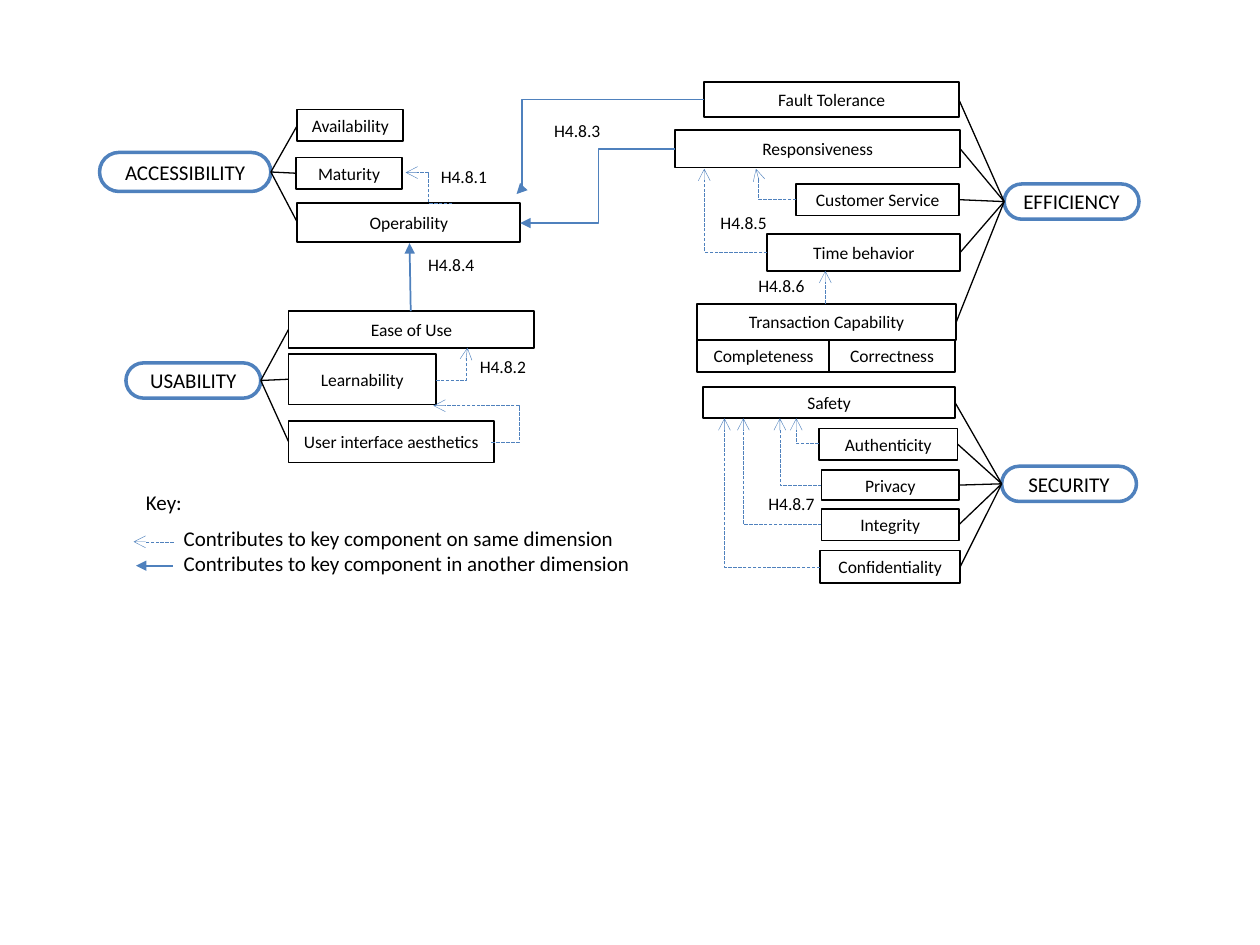
from dataclasses import dataclass

from lxml import etree
from pptx import Presentation
from pptx import util as u
from pptx.dml import color as clr
from pptx.enum import dml, shapes, text
from pptx.oxml import ns


@dataclass
class Theme:
    font: str = "Calibri"
    ink: str = "000000"
    paper: str = "FFFFFF"
    blue: str = "4F81BD"
    big: float = 12
    small: float = 10
    thick: float = 2
    line: float = 1
    spoke: float = 0.75
    thin: float = 0.25


def cm(n):
    """Turn a grid unit (2.54 cm) into a length."""
    return u.Cm(n * 2.54)


def rgb(code):
    return clr.RGBColor.from_string(code)


LEFT, RIGHT = 1, 3  # connection sites of a box

# Each group: hub name, hub place, site where spokes meet it, spoked boxes
GROUPS = [
    ("ACCESSIBILITY", (0.79, 1.21, 1.36, 0.31), RIGHT, [
        ("Availability", (2.36, 0.87, 0.84, 0.25)),
        ("Maturity", (2.35, 1.25, 0.84, 0.25)),
        ("Operability", (2.36, 1.61, 1.77, 0.31))]),
    ("USABILITY", (1, 2.88, 1.07, 0.28), RIGHT, [
        ("Ease of Use", (2.29, 2.47, 1.95, 0.29)),
        ("Learnability", (2.29, 2.81, 1.17, 0.4)),
        ("User interface aesthetics", (2.29, 3.34, 1.63, 0.33))]),
    ("EFFICIENCY", (7.97, 1.46, 1.07, 0.28), LEFT, [
        ("Fault Tolerance", (5.59, 0.65, 2.02, 0.28)),
        ("Responsiveness", (5.36, 1.03, 2.26, 0.3)),
        ("Customer Service", (6.32, 1.46, 1.29, 0.25)),
        ("Time behavior", (6.09, 1.86, 1.53, 0.29)),
        ("Transaction Capability", (5.53, 2.41, 2.06, 0.29))]),
    ("SECURITY", (7.95, 3.7, 1.07, 0.28), LEFT, [
        ("Safety", (5.58, 3.07, 2, 0.25)),
        ("Authenticity", (6.5, 3.4, 1.1, 0.25)),
        ("Privacy", (6.52, 3.73, 1.09, 0.24)),
        ("Integrity", (6.52, 4.04, 1.09, 0.25)),
        ("Confidentiality", (6.51, 4.37, 1.11, 0.26))]),
]

PARTS = [
    ("Completeness", (5.53, 2.7, 1.06, 0.25)),
    ("Correctness", (6.58, 2.7, 1, 0.25)),
]

# Start, end, and the x of the bend (None for a straight arrow)
SAME = [
    ((3.9, 3.51), (3.44, 3.22), 4.12),
    ((3.46, 3.02), (3.71, 2.76), 3.7),
    ((6.32, 1.58), (6, 1.34), 6.02),
    ((6.09, 2), (5.59, 1.34), 5.59),
    ((6.55, 2.41), (6.55, 2.15), None),
    ((6.5, 3.52), (6.32, 3.32), 6.32),
    ((6.52, 3.85), (6.19, 3.32), 6.19),
    ((6.52, 4.16), (5.9, 3.32), 5.9),
    ((6.51, 4.5), (5.75, 3.32), 5.75),
    ((3.59, 1.61), (3.22, 1.37), 3.4),
    ((1.38, 4.3), (1.06, 4.3), None),
]
OTHER = [
    ((3.26, 2.47), (3.25, 1.93), None),
    ((5.36, 1.18), (4.13, 1.77), 4.75),
    ((5.59, 0.79), (4.1, 1.54), 4.14),
    ((1.37, 4.49), (1.08, 4.49), None),
]

LABELS = [
    ("H4.8.1", 3.4, 1.27), ("H4.8.2", 3.71, 2.78), ("H4.8.3", 4.3, 0.9),
    ("H4.8.4", 3.3, 1.97), ("H4.8.5", 5.62, 1.63), ("H4.8.6", 5.92, 2.13),
    ("H4.8.7", 6, 3.86),
]


class Board:
    def __init__(self, slide, theme):
        self.slide, self.theme = slide, theme

    def put(self, para, words, size):
        run = para.add_run()
        run.text = words
        run.font.name = self.theme.font
        run.font.size = u.Pt(size)
        run.font.color.rgb = rgb(self.theme.ink)

    def box(self, words, place, hub=False):
        t = self.theme
        box = self.slide.shapes.add_shape(
            shapes.MSO_SHAPE.ROUNDED_RECTANGLE, *map(cm, place))
        box.adjustments[0] = 0.5 if hub else 0
        box.shadow.inherit = False
        box.fill.solid()
        box.fill.fore_color.rgb = rgb(t.paper)
        box.line.color.rgb = rgb(t.blue if hub else t.ink)
        box.line.width = u.Pt(t.thick if hub else t.line)
        frame = box.text_frame
        frame.word_wrap = True
        frame.margin_left = frame.margin_right = 0
        frame.margin_top = frame.margin_bottom = 0
        frame.vertical_anchor = text.MSO_ANCHOR.MIDDLE
        para = frame.paragraphs[0]
        para.alignment = text.PP_ALIGN.CENTER
        self.put(para, words, t.big if hub else t.small)
        return box

    def label(self, lines, place, size, wrap=False):
        box = self.slide.shapes.add_textbox(*map(cm, place))
        frame = box.text_frame
        frame.word_wrap = wrap
        for i, words in enumerate(lines):
            para = frame.add_paragraph() if i else frame.paragraphs[0]
            self.put(para, words, size)

    def line(self, kind, start, end, hue, width):
        line = self.slide.shapes.add_connector(
            kind, *map(cm, (*start, *end)))
        line.line.color.rgb = rgb(hue)
        line.line.width = u.Pt(width)
        etree.SubElement(line._element.spPr, ns.qn("a:effectLst"))
        return line

    def spoke(self, box, hub, site):
        line = self.line(shapes.MSO_CONNECTOR.STRAIGHT, (0, 0), (1, 1),
                         self.theme.ink, self.theme.spoke)
        line.begin_connect(box, LEFT if site == RIGHT else RIGHT)
        line.end_connect(hub, site)

    def arrow(self, start, end, bend, same):
        """Dashed with an open head within a dimension, else solid."""
        t = self.theme
        kinds = shapes.MSO_CONNECTOR
        line = self.line(kinds.STRAIGHT if bend is None else kinds.ELBOW,
                         start, end, t.blue, t.thin if same else t.line)
        if same:
            line.line.dash_style = dml.MSO_LINE.LONG_DASH
        props = line._element.spPr
        etree.SubElement(props.find(ns.qn("a:ln")), ns.qn("a:tailEnd"),
                         type="arrow" if same else "triangle")
        if bend is not None:
            self.bend(props.find(ns.qn("a:prstGeom")), start, end, bend)

    def bend(self, geom, start, end, x):
        """Use one corner when the bend lies above the end, else two."""
        if x == end[0]:
            geom.set("prst", "bentConnector2")
            return
        share = (x - start[0]) / (end[0] - start[0])
        guides = geom.find(ns.qn("a:avLst"))
        etree.SubElement(guides, ns.qn("a:gd"), name="adj1",
                         fmla=f"val {round(share * 100000)}")


def main():
    deck = Presentation()
    deck.slide_width, deck.slide_height = cm(10), cm(7.5)
    theme = Theme()
    board = Board(deck.slides.add_slide(deck.slide_layouts[6]), theme)

    for name, place, site, leaves in GROUPS:
        hub = board.box(name, place, hub=True)
        for leaf in leaves:
            board.spoke(board.box(*leaf), hub, site)
    for part in PARTS:
        board.box(*part)
    for same, links in ((True, SAME), (False, OTHER)):
        for link in links:
            board.arrow(*link, same)
    for words, x, y in LABELS:
        board.label([words], (x, y, 0.57, 0.27), theme.small)

    board.label(["Key:"], (1.06, 3.84, 0.49, 0.3), theme.big)
    board.label(["Contributes to key component on same dimension",
                 "Contributes to key component in another dimension"],
                (1.36, 4.12, 3.87, 0.5), theme.big, wrap=True)
    deck.save("out.pptx")


if __name__ == "__main__":
    main()
